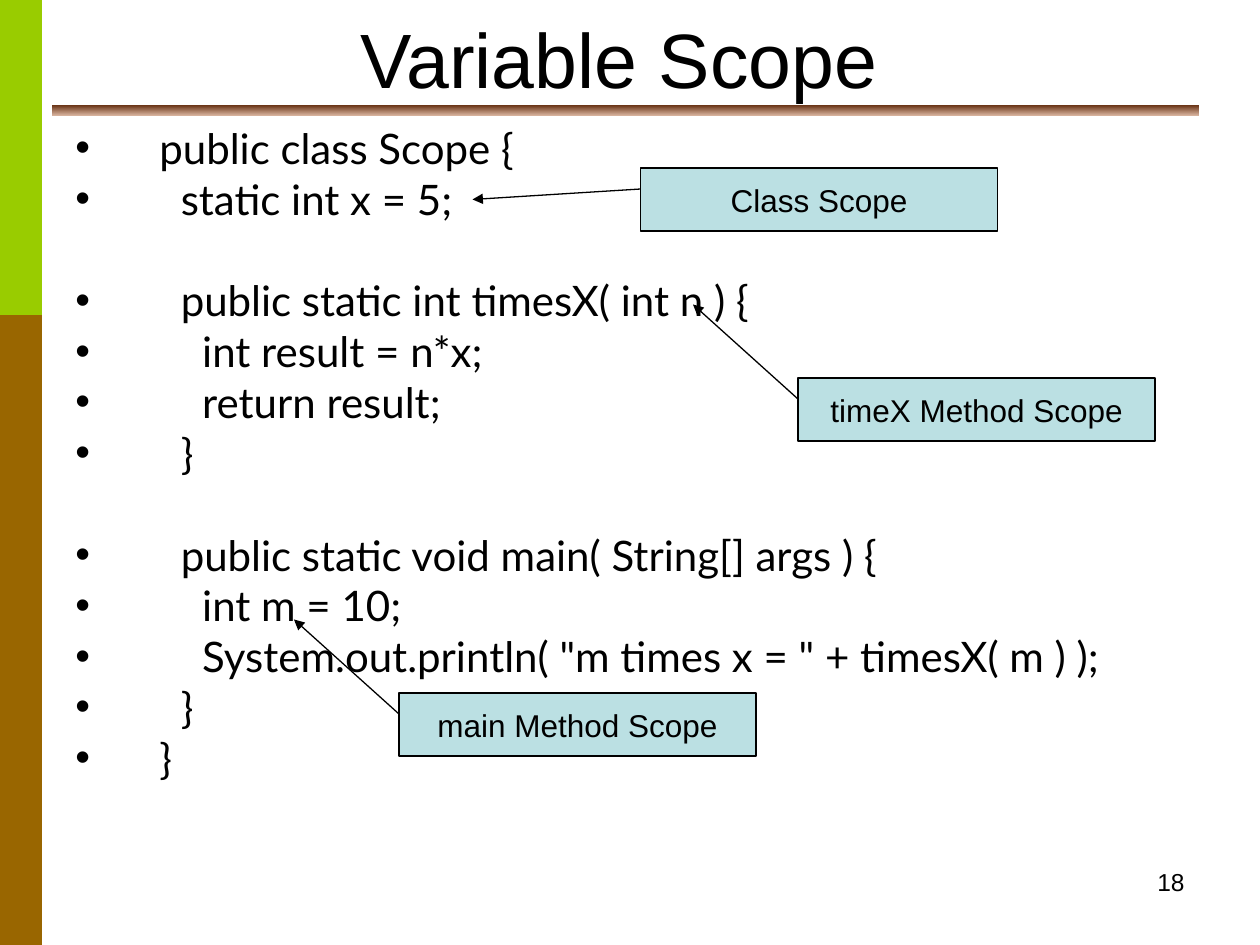
"""Build the slide on variable scope in a Java class."""
from lxml.etree import SubElement
from pptx import Presentation
from pptx.dml.color import RGBColor
from pptx.enum.shapes import MSO_CONNECTOR, MSO_SHAPE
from pptx.enum.text import MSO_ANCHOR, PP_ALIGN
from pptx.oxml.ns import qn
from pptx.util import Pt

BLACK = RGBColor(0x00, 0x00, 0x00)
GREEN = RGBColor(0x99, 0xCC, 0x00)
BROWN = RGBColor(0x99, 0x66, 0x00)
DARK = RGBColor(0x66, 0x30, 0x12)
LIGHT = RGBColor(0xD6, 0xB1, 0x9C)
AQUA = RGBColor(0xBB, 0xE0, 0xE3)

HANG, STEP = 48, 12.25
GAP, BREAK = 6, 35

CODE = [
    (0, GAP, "public class Scope {"),
    (1, GAP, "static int x = 5;"),
    (1, BREAK, "public static int timesX( int n ) {"),
    (2, GAP, "int result = n*x;"),
    (2, GAP, "return result;"),
    (1, GAP, "}"),
    (1, BREAK, "public static void main( String[] args ) {"),
    (2, GAP, "int m = 10;"),
    (2, GAP, 'System.out.println( "m times x = " + timesX( m ) );'),
    (1, GAP, "}"),
    (0, GAP, "}"),
]

NOTES = [
    ("Class Scope", 366, 96, 270, 114),
    ("timeX Method Scope", 456, 216, 396, 174),
    ("main Method Scope", 228, 396, 168, 354),
]


def add_run(para, text, size, face="Arial"):
    run = para.add_run()
    run.text = text
    run.font.size = Pt(size)
    run.font.name = face
    run.font.color.rgb = BLACK


def add_text(slide, box, text, size, align, anchor=MSO_ANCHOR.TOP):
    frame = slide.shapes.add_textbox(*map(Pt, box)).text_frame
    frame.word_wrap = True
    frame.vertical_anchor = anchor
    para = frame.paragraphs[0]
    para.alignment = align
    add_run(para, text, size)


def add_rect(slide, box, color=None):
    rect = slide.shapes.add_shape(MSO_SHAPE.RECTANGLE, *map(Pt, box))
    rect.shadow.inherit = False
    rect.line.fill.background()
    if color is not None:
        rect.fill.solid()
        rect.fill.fore_color.rgb = color
    return rect


def add_rule(slide, box):
    fill = add_rect(slide, box).fill
    fill.gradient()
    fill.gradient_angle = 270
    for stop, color in zip(fill.gradient_stops, (DARK, LIGHT)):
        stop.color.rgb = color


def add_code(slide, box):
    frame = slide.shapes.add_textbox(*map(Pt, box)).text_frame
    frame.word_wrap = True
    for row, (depth, gap, text) in enumerate(CODE):
        para = frame.add_paragraph() if row else frame.paragraphs[0]
        para.line_spacing = 0.8
        para.space_before = Pt(gap)
        left = Pt(HANG + depth * STEP)
        props = para._p.get_or_add_pPr()
        props.set("marL", str(left))
        props.set("indent", str(-left))
        SubElement(props, qn("a:buFont"), typeface="Arial")
        SubElement(props, qn("a:buChar"), char="•")
        add_run(para, text, 24, "Lato")


def add_arrow(slide, start, end):
    arrow = slide.shapes.add_connector(
        MSO_CONNECTOR.STRAIGHT, *map(Pt, start + end))
    arrow.line.color.rgb = BLACK
    arrow.line.width = Pt(0.75)
    SubElement(arrow.line._get_or_add_ln(), qn("a:tailEnd"), type="triangle")
    SubElement(arrow._element.spPr, qn("a:effectLst"))


def add_note(slide, text, left, top, tip):
    rect = add_rect(slide, (left, top, 204, 36), AQUA)
    rect.line.color.rgb = BLACK
    rect.line.width = Pt(0.75)
    frame = rect.text_frame
    frame.word_wrap = False
    frame.vertical_anchor = MSO_ANCHOR.MIDDLE
    para = frame.paragraphs[0]
    para.alignment = PP_ALIGN.CENTER
    add_run(para, text, 18)
    add_arrow(slide, (left, top + 12), tip)


def main():
    deck = Presentation()
    deck.slide_width, deck.slide_height = Pt(720), Pt(540)
    slide = deck.slides.add_slide(deck.slide_layouts[6])
    add_rect(slide, (0, 0, 24, 540), BROWN)
    add_rect(slide, (0, 0, 24, 180), GREEN)
    add_text(slide, (36, 6, 648, 54), "Variable Scope ", 44,
             PP_ALIGN.CENTER, MSO_ANCHOR.MIDDLE)
    add_code(slide, (36, 72, 648, 456))
    add_rule(slide, (30, 60, 655, 6))
    for text, left, top, *tip in NOTES:
        add_note(slide, text, left, top, tuple(tip))
    add_text(slide, (588, 492, 96, 37), "18", 14, PP_ALIGN.RIGHT)
    deck.save("out.pptx")


if __name__ == "__main__":
    main()
